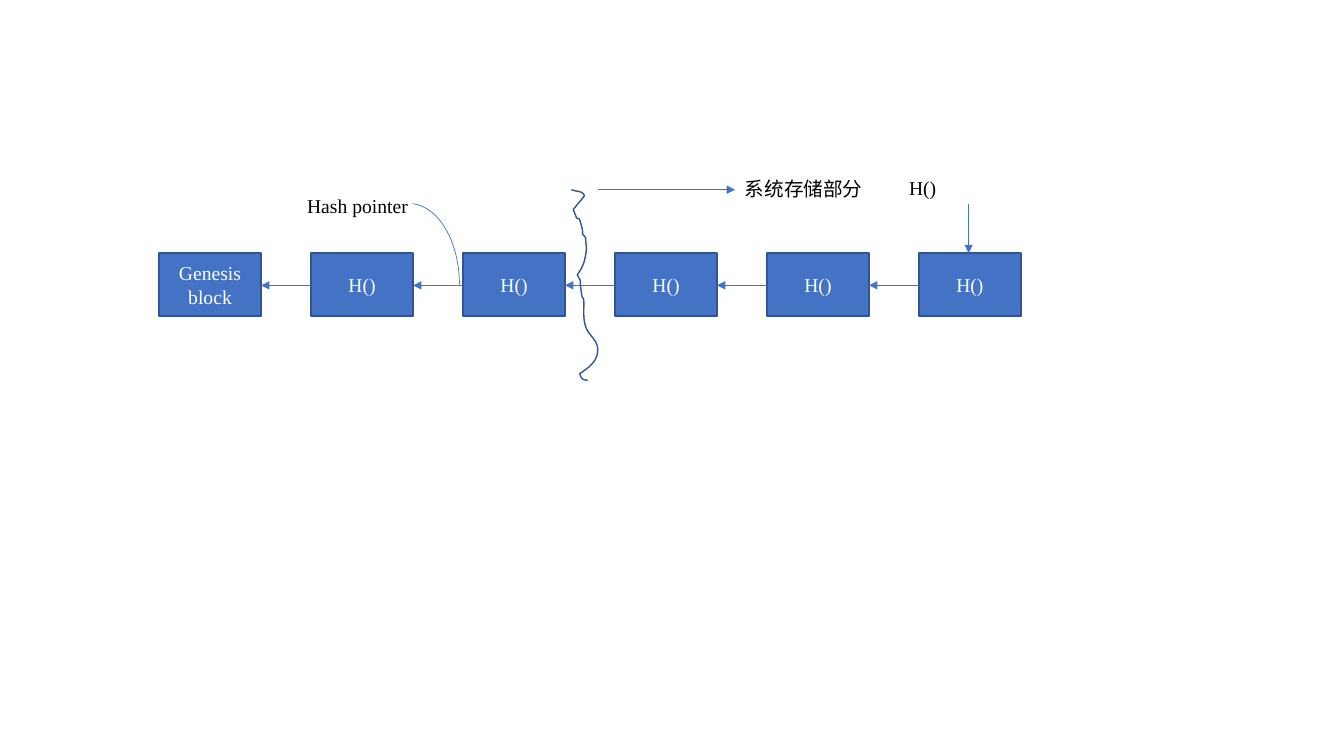
from pptx import Presentation
from pptx import util as u
from pptx.dml import color
from pptx.enum import shapes, text
from pptx.oxml import ns
from lxml import etree

COLORS = {"fill": "4472C4", "edge": "325491", "light": "FFFFFF", "dark": "000000"}
BLOCKS = ["Genesis block"] + ["H()"] * 5
LEFT, TOP, WIDTH, HEIGHT, PITCH = 4.01, 6.38, 2.57, 1.58, 3.83
MIDDLE = 7.19
DIVIDER_START = (14.4, 4.78)
DIVIDER_CURVES = [
    ((14.5, 4.83), (14.68, 4.8), (14.73, 4.93)),
    ((14.73, 4.95), (14.48, 5.23), (14.45, 5.28)),
    ((14.48, 5.36), (14.5, 5.41), (14.53, 5.49)),
    ((14.55, 5.51), (14.61, 5.51), (14.61, 5.54)),
    ((14.78, 6.05), (14.58, 5.77), (14.76, 5.99)),
    ((14.76, 6.1), (14.78, 6.2), (14.78, 6.3)),
    ((14.73, 6.63), (14.71, 6.68), (14.55, 6.93)),
    ((14.68, 7.16), (14.58, 6.93), (14.66, 7.42)),
    ((14.66, 7.47), (14.68, 7.49), (14.71, 7.54)),
    ((14.73, 7.77), (14.68, 8.0), (14.76, 8.23)),
    ((14.81, 8.41), (15.01, 8.53), (15.06, 8.74)),
    ((15.11, 9.09), (14.83, 9.27), (14.61, 9.42)),
    ((14.63, 9.45), (14.63, 9.5), (14.66, 9.53)),
    ((14.71, 9.58), (14.76, 9.58), (14.81, 9.58)),
]


def rgb(name):
    """Return the named palette colour."""
    return color.RGBColor.from_string(COLORS[name])


def bezier(p0, p1, p2, p3, steps=8):
    """Return points along a cubic curve, without its start, in EMU."""
    points = []
    for i in range(1, steps + 1):
        t = i / steps
        weights = ((1 - t) ** 3, 3 * t * (1 - t) ** 2, 3 * t * t * (1 - t), t ** 3)
        points.append(tuple(u.Cm(sum(w * c for w, c in zip(weights, axis)))
                            for axis in zip(p0, p1, p2, p3)))
    return points


class Diagram:
    """Draw styled elements on the current slide."""

    def __init__(self, s):
        """Keep the slide and the shared text style."""
        self.s = s
        self.font = {"name": "Times New Roman", "size": u.Pt(14)}

    def put_text(self, sp, words, shade, frame):
        """Put styled text into a shape."""
        tf = sp.text_frame
        for key, value in frame.items():
            setattr(tf, key, value)
        p = tf.paragraphs[0]
        r = p.add_run()
        r.text = words
        for key, value in self.font.items():
            setattr(r.font, key, value)
        r.font.color.rgb = rgb(shade)
        return p

    def outline(self, sp, shade, points):
        """Set the line colour and width of a shape."""
        sp.line.color.rgb = rgb(shade)
        sp.line.width = u.Pt(points)

    def block(self, left, words):
        """Draw one block of the chain."""
        sp = self.s.shapes.add_shape(shapes.MSO_SHAPE.RECTANGLE, u.Cm(left), u.Cm(TOP),
                                     u.Cm(WIDTH), u.Cm(HEIGHT))
        sp.shadow.inherit = False
        sp.fill.solid()
        sp.fill.fore_color.rgb = rgb("fill")
        self.outline(sp, "edge", 1)
        p = self.put_text(sp, words, "light", {"word_wrap": True,
                                               "vertical_anchor": text.MSO_ANCHOR.MIDDLE})
        p.alignment = text.PP_ALIGN.CENTER

    def arrow(self, *ends):
        """Draw a straight arrow from x1, y1 to x2, y2."""
        sp = self.s.shapes.add_connector(shapes.MSO_CONNECTOR.STRAIGHT, *map(u.Cm, ends))
        self.outline(sp, "fill", 0.5)
        properties = sp.element.spPr
        etree.SubElement(properties.find(ns.qn("a:ln")), ns.qn("a:tailEnd"), type="triangle")
        etree.SubElement(properties, ns.qn("a:effectLst"))

    def arc(self, left, top, width, height, start):
        """Draw an arc from a start adjustment to the right end."""
        sp = self.s.shapes.add_shape(shapes.MSO_SHAPE.ARC,
                                     *map(u.Cm, (left, top, width, height)))
        sp.shadow.inherit = False
        sp.fill.background()
        sp.adjustments[0] = start
        sp.adjustments[1] = 0
        self.outline(sp, "fill", 0.5)

    def label(self, left, top, width, words):
        """Put a label on one line."""
        sp = self.s.shapes.add_textbox(*map(u.Cm, (left, top, width, 0.86)))
        self.put_text(sp, words, "dark", {"word_wrap": False,
                                          "auto_size": text.MSO_AUTO_SIZE.SHAPE_TO_FIT_TEXT})

    def curve(self, start, curves):
        """Draw an open outline of joined cubic curves."""
        points, here = [], start
        for controls in curves:
            points += bezier(here, *controls)
            here = controls[-1]
        builder = self.s.shapes.build_freeform(*map(u.Cm, start))
        builder.add_line_segments(points, close=False)
        sp = builder.convert_to_shape()
        sp.shadow.inherit = False
        sp.fill.background()
        self.outline(sp, "edge", 1)


prs = Presentation()
prs.slide_width, prs.slide_height = u.Cm(33.87), u.Cm(19.05)
diagram = Diagram(prs.slides.add_slide(prs.slide_layouts[6]))

for i, words in enumerate(BLOCKS):
    left = LEFT + i * PITCH
    diagram.block(left, words)
    if i:
        diagram.arrow(left, MIDDLE, left - PITCH + WIDTH, MIDDLE)

diagram.arc(9.04, 5.13, 2.54, 4.09, 163.42)
diagram.label(7.49, 4.75, 3.07, "Hash pointer")
diagram.curve(DIVIDER_START, DIVIDER_CURVES)
diagram.arrow(15.06, 4.78, 18.52, 4.78)
diagram.label(18.52, 4.34, 3.51, "系统存储部分")
diagram.arrow(24.41, 5.13, 24.41, TOP)
diagram.label(22.66, 4.32, 1.19, "H()")

prs.save("out.pptx")
